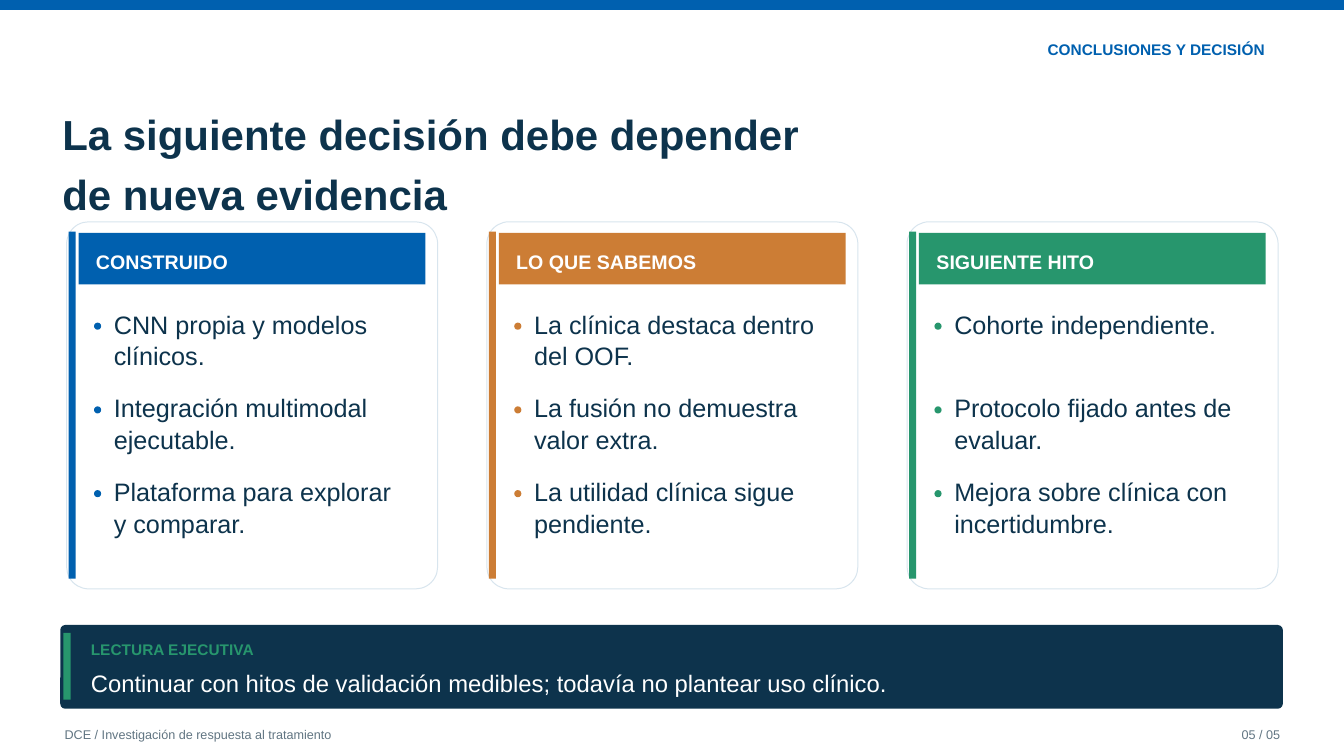
from dataclasses import dataclass

from pptx import Presentation
from pptx.dml.color import RGBColor
from pptx.enum.shapes import MSO_SHAPE
from pptx.enum.text import MSO_AUTO_SIZE, PP_ALIGN
from pptx.shapes.autoshape import Shape
from pptx.slide import Slide
from pptx.util import Cm, Pt

RECTANGLE = MSO_SHAPE.RECTANGLE
ROUNDED = MSO_SHAPE.ROUNDED_RECTANGLE
OVAL = MSO_SHAPE.OVAL
LEFT = PP_ALIGN.LEFT
RIGHT = PP_ALIGN.RIGHT
GROW = MSO_AUTO_SIZE.SHAPE_TO_FIT_TEXT


@dataclass(frozen=True)
class Theme:
    font: str = "Arial"
    blue: str = "0060AF"
    orange: str = "CC7D35"
    green: str = "27966D"
    navy: str = "0D334C"
    grey: str = "617582"
    border: str = "D8E5EE"
    white: str = "FFFFFF"
    title_size: int = 30
    bullet_size: int = 18
    message_size: int = 17
    heading_size: int = 14
    label_size: int = 11
    footer_size: int = 9


THEME = Theme()


@dataclass(frozen=True)
class Area:
    """Left, top, width and height in centimetres."""
    left: float
    top: float
    width: float
    height: float


@dataclass(frozen=True)
class Card:
    heading: str
    color: str
    bullets: tuple[str, ...]


CARDS = (
    Card("CONSTRUIDO", THEME.blue, (
        "CNN propia y modelos clínicos.",
        "Integración multimodal ejecutable.",
        "Plataforma para explorar y comparar.",
    )),
    Card("LO QUE SABEMOS", THEME.orange, (
        "La clínica destaca dentro del OOF.",
        "La fusión no demuestra valor extra.",
        "La utilidad clínica sigue pendiente.",
    )),
    Card("SIGUIENTE HITO", THEME.green, (
        "Cohorte independiente.",
        "Protocolo fijado antes de evaluar.",
        "Mejora sobre clínica con incertidumbre.",
    )),
)
CARD_LEFT = 1.68
CARD_PITCH = 10.59
BULLET_TOP = 7.75
BULLET_PITCH = 2.11
DOT_SIZE = 0.18


def add_block(page: Slide, kind: MSO_SHAPE, area: Area, fill: str,
              line: str | None = None) -> Shape:
    block = page.shapes.add_shape(kind, Cm(area.left), Cm(area.top),
                                  Cm(area.width), Cm(area.height))
    block.shadow.inherit = False
    block.fill.solid()
    block.fill.fore_color.rgb = RGBColor.from_string(fill)
    if line:
        block.line.color.rgb = RGBColor.from_string(line)
        block.line.width = Pt(0.7)
    else:
        block.line.fill.background()
    if kind == ROUNDED:
        block.adjustments[0] = 0.06
    return block


def add_text(page: Slide, text: str, area: Area, *, size: int, color: str,
             bold: bool = False, align: PP_ALIGN = LEFT) -> None:
    """Add a text box with one paragraph for each line of the text."""
    box = page.shapes.add_textbox(Cm(area.left), Cm(area.top),
                                  Cm(area.width), Cm(area.height))
    frame = box.text_frame
    frame.margin_left = frame.margin_top = 0
    frame.margin_right = frame.margin_bottom = 0
    frame.word_wrap = True
    frame.auto_size = GROW
    frame.text = text
    for para in frame.paragraphs:
        para.alignment = align
        para.line_spacing = 1.05
        para.space_after = Pt(5)
        for span in para.runs:
            span.font.name = THEME.font
            span.font.size = Pt(size)
            span.font.bold = bold
            span.font.color.rgb = RGBColor.from_string(color)


def add_card(page: Slide, card: Card, left: float) -> None:
    add_block(page, ROUNDED, Area(left, 5.59, 9.35, 9.25), THEME.white, THEME.border)
    add_block(page, RECTANGLE, Area(left + 0.05, 5.84, 0.18, 8.74), card.color)
    add_block(page, RECTANGLE, Area(left + 0.3, 5.87, 8.74, 1.3), card.color)
    add_text(page, card.heading, Area(left + 0.74, 6.27, 7.82, 0.69),
             size=THEME.heading_size, color=THEME.white, bold=True)
    for row, bullet in enumerate(card.bullets):
        top = BULLET_TOP + row * BULLET_PITCH
        add_block(page, OVAL, Area(left + 0.69, top + 0.38, DOT_SIZE, DOT_SIZE),
                  card.color)
        add_text(page, bullet, Area(left + 1.19, top, 7.47, 1.9),
                 size=THEME.bullet_size, color=THEME.navy)


def add_header(page: Slide) -> None:
    add_block(page, RECTANGLE, Area(0, 0, 33.87, 0.25), THEME.blue)
    add_text(page, "CONCLUSIONES Y DECISIÓN", Area(20.83, 0.99, 11.05, 0.66),
             size=THEME.label_size, color=THEME.blue, bold=True, align=RIGHT)
    add_text(page, "La siguiente decisión debe depender\nde nueva evidencia",
             Area(1.57, 2.67, 30.73, 2.39),
             size=THEME.title_size, color=THEME.navy, bold=True)


def add_footer(page: Slide) -> None:
    add_text(page, "DCE / Investigación de respuesta al tratamiento",
             Area(1.63, 18.29, 25.4, 0.51),
             size=THEME.footer_size, color=THEME.grey)
    add_text(page, "05 / 05", Area(30.48, 18.29, 1.78, 0.51),
             size=THEME.footer_size, color=THEME.grey, align=RIGHT)


def add_summary(page: Slide) -> None:
    add_block(page, ROUNDED, Area(1.52, 15.75, 30.81, 2.11), THEME.navy)
    add_block(page, RECTANGLE, Area(1.6, 15.95, 0.18, 1.68), THEME.green)
    add_text(page, "LECTURA EJECUTIVA", Area(2.29, 16.1, 7.62, 0.51),
             size=THEME.label_size, color=THEME.green, bold=True)
    add_text(page, "Continuar con hitos de validación medibles; "
             "todavía no plantear uso clínico.", Area(2.29, 16.81, 29.08, 0.89),
             size=THEME.message_size, color=THEME.white)


def main() -> None:
    deck = Presentation()
    deck.slide_width = Cm(33.87)
    deck.slide_height = Cm(19.05)
    page = deck.slides.add_slide(deck.slide_layouts[6])
    add_header(page)
    add_footer(page)
    for column, card in enumerate(CARDS):
        add_card(page, card, CARD_LEFT + column * CARD_PITCH)
    add_summary(page)
    deck.save("out.pptx")


if __name__ == "__main__":
    main()
